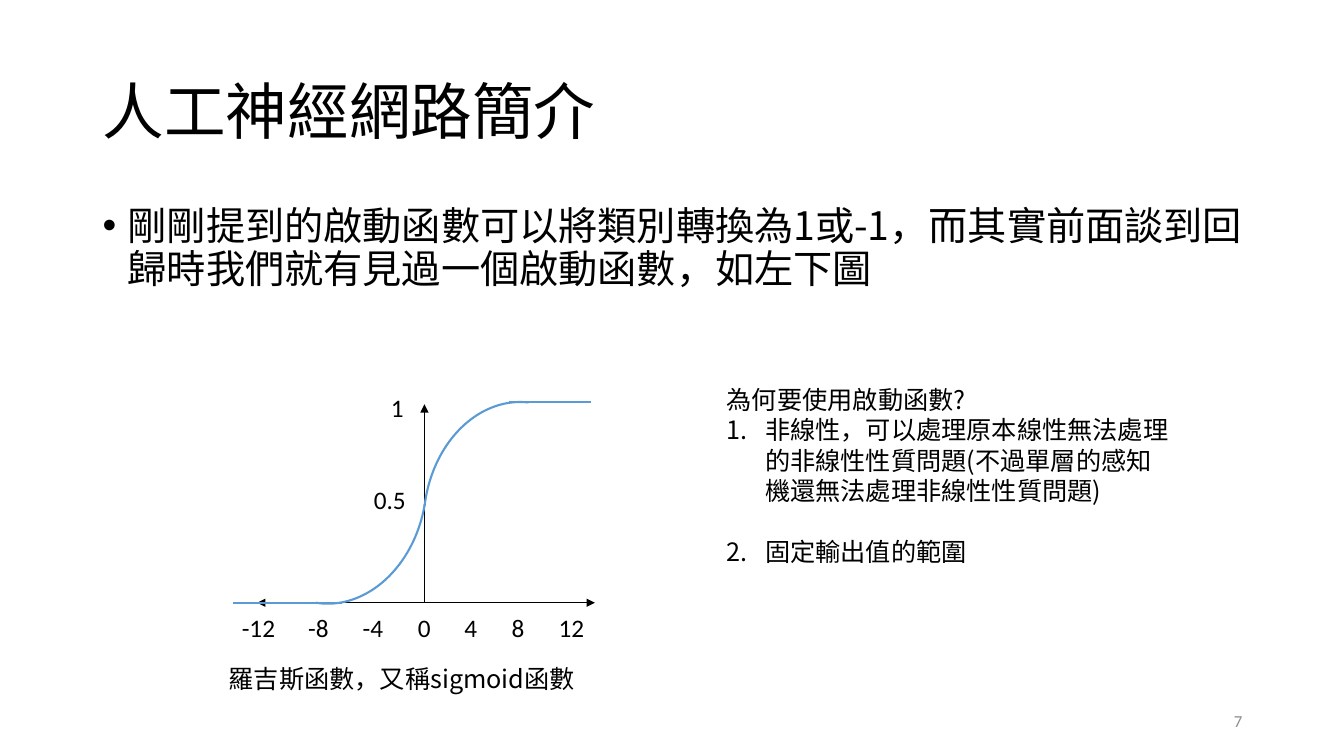
from dataclasses import dataclass

from lxml import etree
from pptx import Presentation
from pptx.dml.color import RGBColor
from pptx.enum.shapes import MSO_CONNECTOR, MSO_SHAPE
from pptx.enum.text import MSO_ANCHOR, PP_ALIGN
from pptx.oxml.ns import qn
from pptx.util import Inches, Pt

ARC = MSO_SHAPE.ARC
LINE = MSO_CONNECTOR.STRAIGHT
MID, TOP = MSO_ANCHOR.MIDDLE, MSO_ANCHOR.TOP
LEFT, RIGHT = PP_ALIGN.LEFT, PP_ALIGN.RIGHT


@dataclass(frozen=True)
class Theme:
    ink: RGBColor = RGBColor(0, 0, 0)
    gray: RGBColor = RGBColor(0x8C, 0x8C, 0x8C)
    blue: RGBColor = RGBColor(0x5B, 0x9B, 0xD5)
    han: str = "Noto Sans CJK SC"
    latin: str = "Calibri"
    title: int = 44
    body: int = 28
    note: int = 18
    page: int = 12
    thin: float = 0.5
    curve: float = 1.5


T = Theme()


def add_box(slide, x, y, w, h, anchor=TOP):
    frame = slide.shapes.add_textbox(*map(Inches, (x, y, w, h))).text_frame
    frame.word_wrap = True
    frame.vertical_anchor = anchor
    return frame


def add_para(frame, text, size, font=T.han, color=T.ink, lead=None,
             indent=0, mark=None, tabs=(), before=0, align=LEFT):
    """Write one paragraph; mark is a bullet sign or a numbering type."""
    para = frame.paragraphs[0]
    if para.runs:
        para = frame.add_paragraph()
    para.alignment = align
    if lead:
        para.line_spacing = Pt(lead)
    if before:
        para.space_before = Pt(before)
    props = para._p.get_or_add_pPr()
    if indent:
        props.set("marL", str(Inches(indent)))
    if mark:
        props.set("indent", str(-Inches(indent)))
        if len(mark) == 1:
            etree.SubElement(props, qn("a:buFont"), typeface="Arial")
            etree.SubElement(props, qn("a:buChar"), char=mark)
        else:
            etree.SubElement(props, qn("a:buAutoNum"), type=mark)
    if tabs:
        stops = etree.SubElement(props, qn("a:tabLst"))
        for pos in tabs:
            etree.SubElement(stops, qn("a:tab"), pos=str(Inches(pos)), algn="ctr")
    run = para.add_run()
    run.text = text
    run.font.size = Pt(size)
    run.font.name = font
    run.font.color.rgb = color
    etree.SubElement(run._r.get_or_add_rPr(), qn("a:ea"), typeface=font)


def add_line(slide, start, end, color, width, arrow=False):
    line = slide.shapes.add_connector(LINE, *map(Inches, (*start, *end)))
    line.line.color.rgb = color
    line.line.width = Pt(width)
    if arrow:
        etree.SubElement(line.line._get_or_add_ln(), qn("a:tailEnd"), type="triangle")
    etree.SubElement(line._element.spPr, qn("a:effectLst"))


def add_arc(slide, x, y, turn):
    arc = slide.shapes.add_shape(ARC, *map(Inches, (x, y, 2.28, 1.81)))
    arc.rotation = turn
    arc.shadow.inherit = False
    arc.fill.background()
    arc.line.color.rgb = T.blue
    arc.line.width = Pt(T.curve)


def add_plot(slide):
    # Axes
    zero = (4.21, 5.98)
    for tip in ((4.21, 4.01), (5.9, 5.98), (2.55, 5.98)):
        add_line(slide, zero, tip, T.ink, T.thin, arrow=True)

    # Axis labels
    ticks = add_box(slide, 2.3, 6.03, 3.66, 0.4)
    add_para(ticks, "-12\t-8\t-4\t0\t4\t8\t12", T.note, T.latin,
             tabs=(0.76, 1.3, 1.81, 2.27, 2.74, 3.27))
    marks = add_box(slide, 3.61, 3.84, 0.63, 2.22)
    add_para(marks, "1", T.note, T.latin, indent=0.17)
    add_para(marks, "0.5", T.note, T.latin, before=44)

    # Sigmoid curve
    add_arc(slide, 3.97, 4.22, 276.6)
    add_arc(slide, 2.18, 3.95, 99.5)
    add_line(slide, (5.05, 3.99), (5.86, 3.99), T.blue, T.curve)
    add_line(slide, (2.31, 5.98), (3.39, 5.98), T.blue, T.curve)

    # Caption
    add_para(add_box(slide, 2.17, 6.53, 3.73, 0.4),
             "羅吉斯函數，又稱sigmoid函數", T.note, lead=21.7)


def add_why(slide):
    why = add_box(slide, 7.11, 3.76, 4.61, 1.92)
    add_para(why, "為何要使用啟動函數?", T.note, lead=21.7)
    points = (
        "非線性，可以處理原本線性無法處理的非線性性質問題"
        "(不過單層的感知機還無法處理非線性性質問題)",
        "固定輸出值的範圍",
    )
    for i, point in enumerate(points):
        add_para(why, point, T.note, lead=21.7, indent=0.38,
                 mark="arabicPeriod", before=21.7 * i)


def main():
    deck = Presentation()
    deck.slide_width, deck.slide_height = Inches(13.33), Inches(7.5)
    slide = deck.slides.add_slide(deck.slide_layouts[6])

    # Title, main point and page number
    add_para(add_box(slide, 0.92, 0.4, 11.5, 1.45, MID),
             "人工神經網路簡介", T.title, lead=47.5)
    add_para(add_box(slide, 0.92, 2, 11.5, 4.76),
             "剛剛提到的啟動函數可以將類別轉換為1或-1，"
             "而其實前面談到回歸時我們就有見過一個啟動函數，如左下圖",
             T.body, lead=30.2, indent=0.25, mark="•")
    add_para(add_box(slide, 9.42, 6.95, 3, 0.4, MID),
             "7", T.page, T.latin, T.gray, align=RIGHT)

    add_plot(slide)
    add_why(slide)
    deck.save("out.pptx")


if __name__ == "__main__":
    main()
